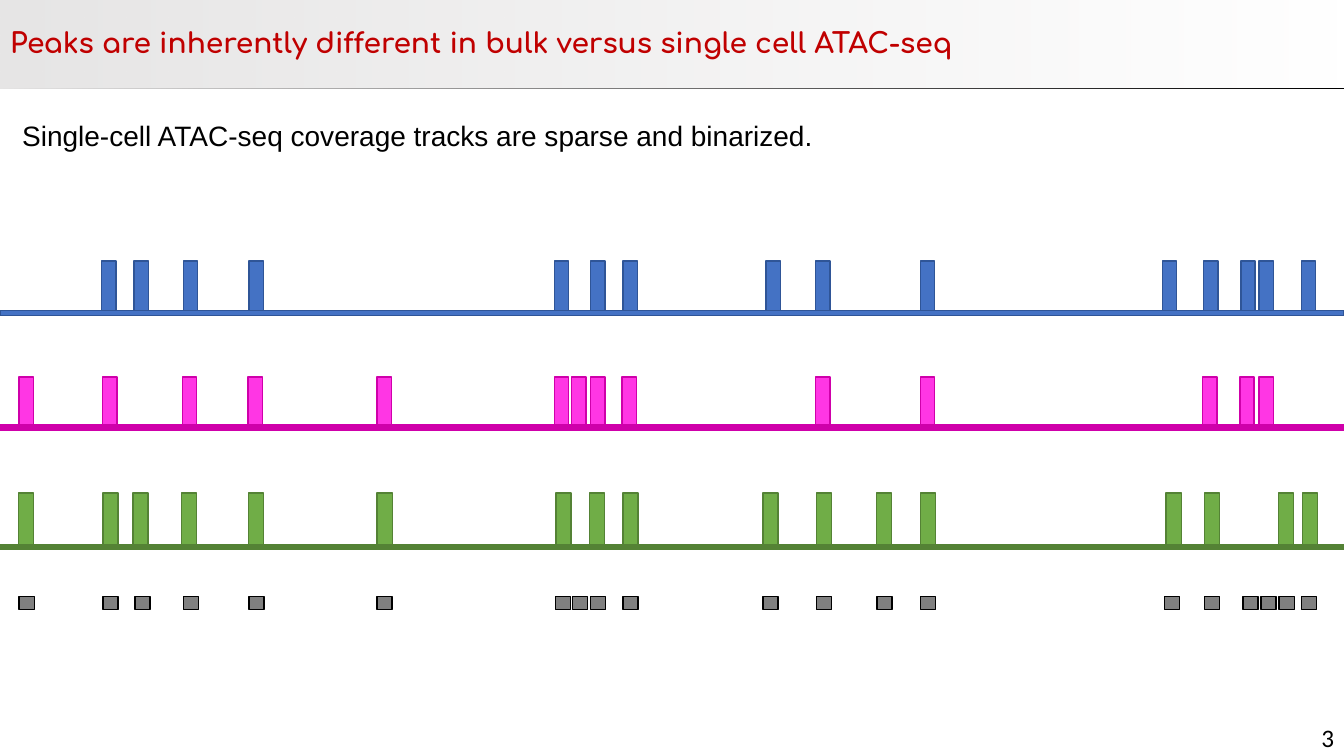
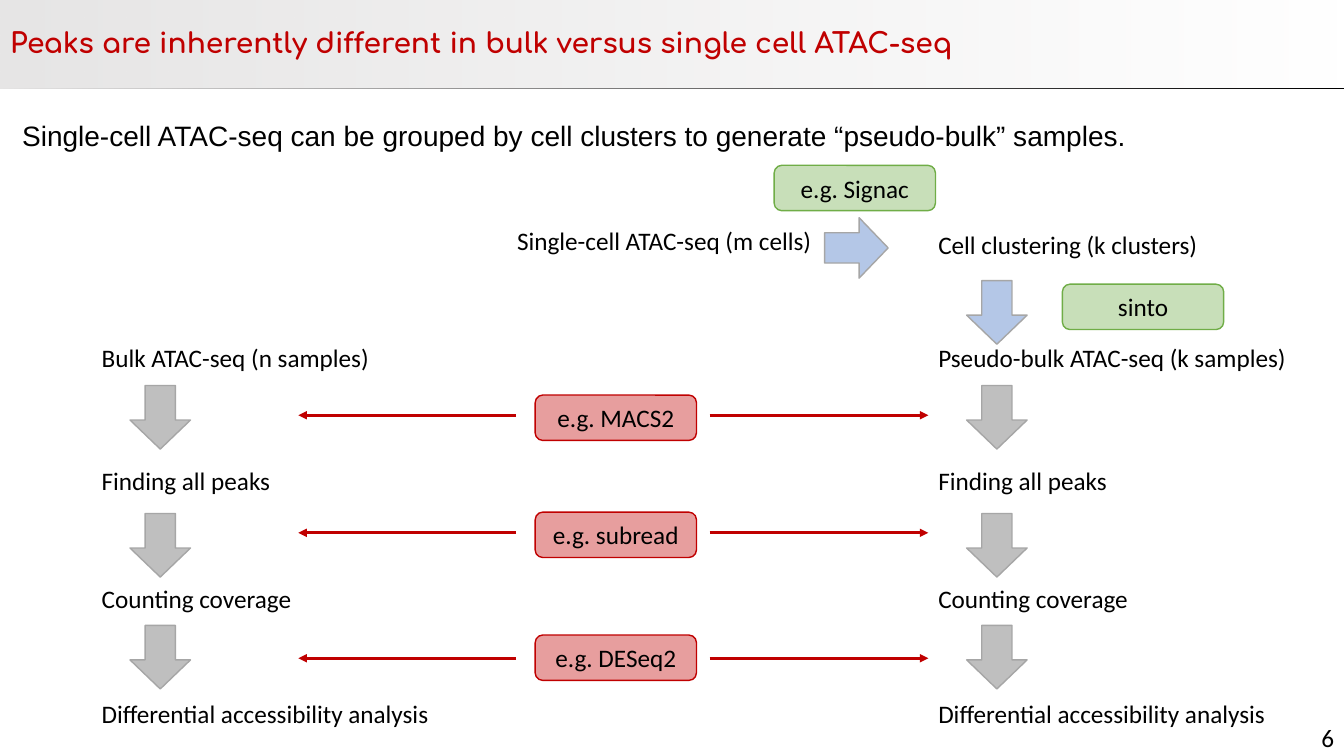
from pptx import Presentation
from pptx.dml.color import RGBColor
from pptx.enum.shapes import MSO_CONNECTOR, MSO_SHAPE
from pptx.enum.text import MSO_ANCHOR, MSO_AUTO_SIZE, PP_ALIGN
from pptx.oxml.ns import qn
from pptx.util import Pt
from lxml import etree

RECT, ROUND = MSO_SHAPE.RECTANGLE, MSO_SHAPE.ROUNDED_RECTANGLE
DOWN, RIGHT_ARROW = MSO_SHAPE.DOWN_ARROW, MSO_SHAPE.RIGHT_ARROW
STRAIGHT = MSO_CONNECTOR.STRAIGHT
TOP, MIDDLE = MSO_ANCHOR.TOP, MSO_ANCHOR.MIDDLE
LEFT, CENTER, RIGHT = PP_ALIGN.LEFT, PP_ALIGN.CENTER, PP_ALIGN.RIGHT
NO_FIT = MSO_AUTO_SIZE.NONE

BLACK = RGBColor(0x00, 0x00, 0x00)
RED = RGBColor(0xC0, 0x00, 0x00)
BAND = RGBColor(0xE7, 0xE6, 0xE6)
BLUE, DARK_BLUE = RGBColor(0x44, 0x72, 0xC4), RGBColor(0x2F, 0x55, 0x97)
PINK, DARK_PINK = RGBColor(0xFF, 0x36, 0xE4), RGBColor(0xCF, 0x00, 0xAA)
GREEN, DARK_GREEN = RGBColor(0x70, 0xAD, 0x47), RGBColor(0x54, 0x82, 0x35)
GREY = RGBColor(0x80, 0x80, 0x80)
STEP_GREY, STEP_BLUE = RGBColor(0xBF, 0xBF, 0xBF), RGBColor(0xB4, 0xC7, 0xE7)
STEP_LINE = RGBColor(0xA6, 0xA6, 0xA6)

W, H = 960, 540
BAND_H = 63.4
TITLE = "Peaks are inherently different in bulk versus single cell ATAC-seq"

TRACKS = [
    (186.5, 35.2, 10.3, BLUE, DARK_BLUE, BLUE,
     [72.7, 95.8, 131, 177.8, 396, 421.9, 445, 547.2, 582.5, 657.4, 830.2,
      859.7, 886.3, 899.3, 929.5]),
    (269.3, 34.2, 10.3, PINK, DARK_PINK, DARK_PINK,
     [13.5, 73.4, 130.3, 177.1, 269.3, 396, 408.2, 421.9, 444.2, 582.5,
      657.4, 859, 885.6, 899.3]),
    (352.1, 36.7, 10.8, GREEN, DARK_GREEN, DARK_GREEN,
     [13.2, 73.6, 95, 129.6, 177.3, 269.4, 397.2, 421.2, 445, 545, 583.2,
      625.9, 657.4, 833, 860.4, 913, 930.2]),
    (426.2, 9.2, 10.8, GREY, BLACK, None,
     [13.7, 73.6, 96.5, 131, 177.8, 269.3, 396.7, 409, 421.9, 445, 545,
      583.2, 626.4, 657.4, 831.6, 860.4, 887.8, 900.7, 913.7, 929.5]),
]
STEPS = [(88, "Finding all peaks"), (172, "Counting coverage"),
         (254.2, "Differential accessibility analysis")]
STEP_ARROWS = [34.2, 125.6, 205.5]
TOOLS = [(282.2, 296.6, "e.g. MACS2"), (365.8, 380.6, "e.g. subread"),
         (453.6, 470.2, "e.g. DESeq2")]


def text(sp, s, size=18, font="Calibri", color=BLACK, bold=False,
         align=LEFT, anchor=TOP, spacing=None, after=None):
    """Write one formatted paragraph into a shape and return it."""
    tf = sp.text_frame
    tf.word_wrap, tf.auto_size, tf.vertical_anchor = True, NO_FIT, anchor
    p = tf.paragraphs[0]
    p.alignment, p.line_spacing = align, spacing
    p.space_before, p.space_after = Pt(0), after
    r = p.add_run()
    r.text = s
    r.font.size, r.font.name, r.font.bold = Pt(size), font, bold
    r.font.color.rgb = color
    return p


def place(sp, x, y, w, h):
    """Move and size a placeholder."""
    sp.left, sp.top, sp.width, sp.height = Pt(x), Pt(y), Pt(w), Pt(h)


def set_alpha(color, percent):
    """Give a colour element an opacity."""
    etree.SubElement(color, qn("a:alpha")).set("val", str(percent * 1000))


def shape(slide, kind, x, y, w, h, fill, line):
    """Add a filled and outlined preset shape."""
    sp = slide.shapes.add_shape(kind, Pt(x), Pt(y), Pt(w), Pt(h))
    sp.shadow.inherit = False
    sp.fill.solid()
    sp.fill.fore_color.rgb = fill
    sp.line.color.rgb, sp.line.width = line, Pt(1)
    return sp


def line(slide, x1, y1, x2, y2, color, width, arrow=False):
    """Add a straight line, with an arrowhead at its end if asked."""
    c = slide.shapes.add_connector(STRAIGHT, Pt(x1), Pt(y1), Pt(x2), Pt(y2))
    c.line.color.rgb, c.line.width = color, Pt(width)
    if arrow:
        etree.SubElement(c.line._get_or_add_ln(), qn("a:tailEnd")).set("type", "triangle")
    etree.SubElement(c.element.spPr, qn("a:effectLst"))
    return c


def label(slide, x, y, s, w=270, h=28.8, **fmt):
    """Add a text box."""
    text(slide.shapes.add_textbox(Pt(x), Pt(y), Pt(w), Pt(h)), s, **fmt)


def base_slide(prs, lead, number):
    """Add a slide with its title band, rule, lead sentence and number."""
    slide = prs.slides.add_slide(prs.slide_layouts[1])
    rule = line(slide, 0, BAND_H, W, BAND_H, BLACK, 0.75)
    slide.shapes.element.insert(2, rule.element)
    title, body = slide.shapes.title, slide.placeholders[1]
    place(title, 0, 0, W, BAND_H)
    title.fill.gradient()
    title.fill.gradient_angle = 0
    for stop in title.fill.gradient_stops:
        stop.color.rgb = BAND
    set_alpha(list(title.element.spPr.iter(qn("a:srgbClr")))[-1], 0)
    text(title, TITLE, size=20, font="Comfortaa", color=RED, bold=True,
         anchor=MIDDLE, spacing=0.9)
    place(body, 8.6, 69.1, 938.9, 434.2)
    p = text(body, lead, size=20, font="Arial", spacing=1.5, after=Pt(18))
    pPr = p._p.get_or_add_pPr()
    pPr.set("marL", str(Pt(18)))
    pPr.set("indent", str(-Pt(18)))
    etree.SubElement(pPr, qn("a:buNone"))
    label(slide, 744, 512.6, number, w=216, align=RIGHT, anchor=MIDDLE)
    return slide


def track(slide, y, h, bar_w, fill, outline, base, xs):
    """Draw a coverage track: bars standing on an optional baseline."""
    if base is not None:
        shape(slide, RECT, 0, y + h, W, 3.6, base, outline)
    for x in xs:
        shape(slide, RECT, x, y, bar_w, h, fill, outline)


def step_arrow(slide, x, y, fill=STEP_GREY, kind=DOWN):
    """Draw a block arrow between two steps."""
    w, h = (43.2, 45.4) if kind == DOWN else (45.4, 43.2)
    sp = shape(slide, kind, x, y, w, h, fill, STEP_LINE)
    sp.adjustments[0], sp.adjustments[1] = 0.5, 0.48


def workflow(slide, x, y, start):
    """Draw a column of steps joined by block arrows."""
    for dy, s in [(0, start)] + STEPS:
        label(slide, x, y + dy, s)
    for dy in STEP_ARROWS:
        step_arrow(slide, x + 27.4, y + dy)


def tool(slide, x, y, s, color, w=115.2, h=32.4):
    """Draw a translucent rounded box naming a tool."""
    sp = shape(slide, ROUND, x, y, w, h, color, color)
    set_alpha(sp.element.spPr.find(qn("a:solidFill"))[0], 38)
    text(sp, s, align=CENTER, anchor=MIDDLE)


def shared_tool(slide, x, y, arrow_y, s):
    """Draw a tool box with arrows to the columns on both sides."""
    tool(slide, x, y, s, RED)
    for start, end in [(x - 13.7, x - 169.2), (x + 124.6, x + 280.8)]:
        line(slide, start, arrow_y, end, arrow_y, RED, 2, arrow=True)


def tracks_slide(prs):
    """Build the slide of sparse coverage tracks."""
    slide = base_slide(
        prs, "Single-cell ATAC-seq coverage tracks are sparse and binarized.", "3")
    for spec_row in TRACKS:
        track(slide, *spec_row)


def workflow_slide(prs):
    """Build the slide comparing bulk and pseudo-bulk workflows."""
    slide = base_slide(
        prs, "Single-cell ATAC-seq can be grouped by cell clusters to generate "
        "“pseudo-bulk” samples.", "6")
    left, right, top = 65.5, 663.1, 241.2
    workflow(slide, left, top, "Bulk ATAC-seq (n samples)")
    workflow(slide, right, top, "Pseudo-bulk ATAC-seq (k samples)")
    label(slide, 362.2, 157.7, "Single-cell ATAC-seq (m cells)", w=228)
    label(slide, right, 160.6, "Cell clustering (k clusters)")
    step_arrow(slide, 589, 155.5, STEP_BLUE, RIGHT_ARROW)
    step_arrow(slide, right + 27.4, 200.5, STEP_BLUE)
    tool(slide, 553, 118.1, "e.g. Signac", GREEN)
    tool(slide, 758.9, 203, "sinto", GREEN)
    for y, arrow_y, s in TOOLS:
        shared_tool(slide, 382.3, y, arrow_y, s)


def main():
    """Build and save the presentation."""
    prs = Presentation()
    prs.slide_width, prs.slide_height = Pt(W), Pt(H)
    tracks_slide(prs)
    workflow_slide(prs)
    prs.save("out.pptx")


if __name__ == "__main__":
    main()
